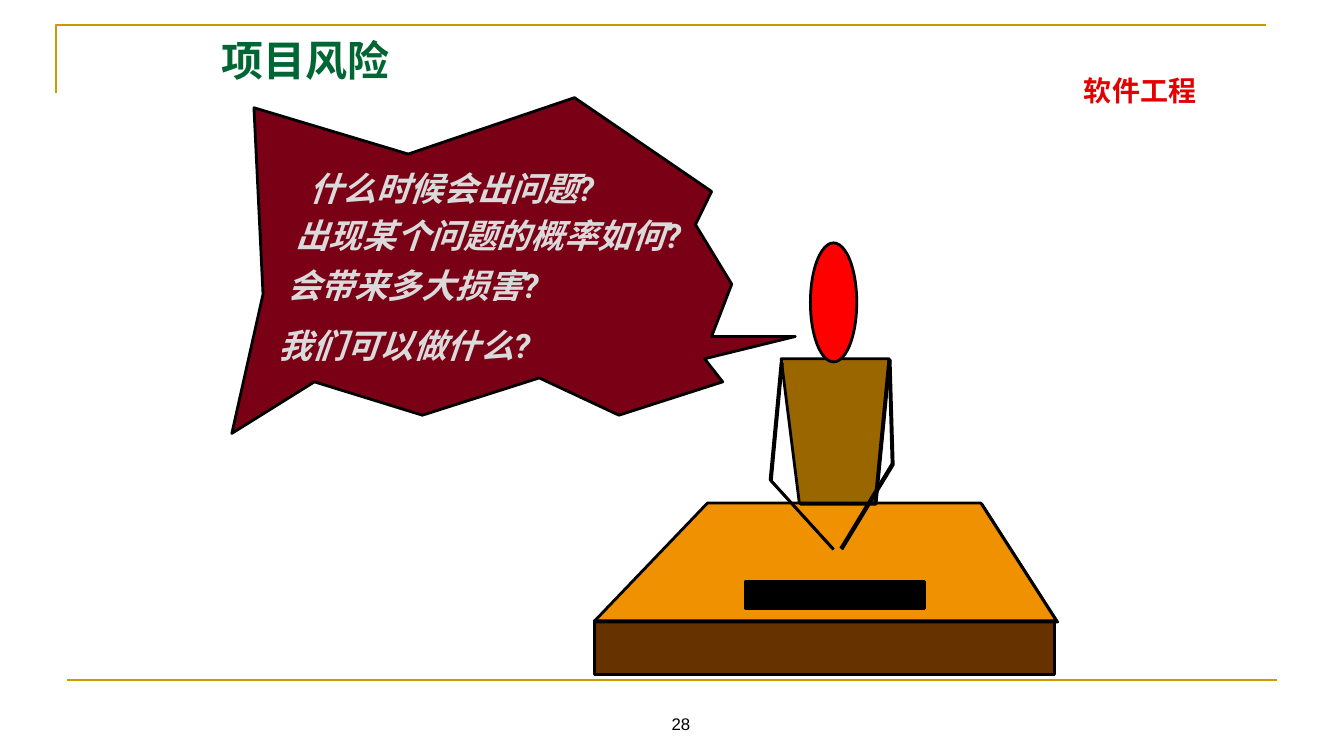
import pptx
import pptx.util
import pptx.oxml
import pptx.oxml.ns
import pptx.dml.color
import pptx.enum.shapes
import pptx.enum.text
from lxml import etree

Pt = pptx.util.Pt
RGBColor = pptx.dml.color.RGBColor
SHAPE = pptx.enum.shapes.MSO_SHAPE
ALIGN = pptx.enum.text.PP_ALIGN
ANCHOR = pptx.enum.text.MSO_ANCHOR

BLACK = RGBColor(0x00, 0x00, 0x00)
GOLD = RGBColor(0xCC, 0x99, 0x00)
GREEN = RGBColor(0x00, 0x66, 0x33)
LABEL_RED = RGBColor(0xE2, 0x00, 0x00)
HEAD_RED = RGBColor(0xFF, 0x00, 0x00)
MAROON = RGBColor(0x79, 0x00, 0x15)
ORANGE = RGBColor(0xEF, 0x91, 0x00)
OLIVE = RGBColor(0x99, 0x66, 0x00)
BROWN = RGBColor(0x66, 0x33, 0x00)
LIGHT_GREY = RGBColor(0xDA, 0xDA, 0xDA)

CHINESE_FONT = "Noto Sans CJK JP"
ECHO = 0.8  # shift of the second outline behind the figure's parts

BUBBLE_OUTLINE = [
    (402.5, 170.6), (337.7, 186.5), (350.6, 203), (276.5, 226.8),
    (219.6, 200.2), (136.1, 226.8), (59, 203), (0, 239.8),
    (22.3, 140.4), (15.8, 7.2), (126, 40.3), (244.8, 0),
    (342.7, 67), (331.2, 90.7), (357.1, 133.2), (342.7, 170.6),
]
QUESTIONS = [  # text, left, top, width, wraps
    ("什么时候会出问题?", 48.2, 46.8, 277.9, True),
    ("出现某个问题的概率如何?", 38.2, 79.9, 336.2, True),
    ("会带来多大损害?", 32.4, 115.9, 240.5, True),
    ("我们可以做什么?", 26.6, 158.4, 199.4, False),
]
DESK_TOP = [(0, 270), (80.6, 185.8), (275.8, 185.8), (329.8, 270)]
TORSO = [(146.2, 185.8), (133.2, 82.8), (210.2, 82.8), (200.2, 185.8)]
ARMS = [
    [(133.2, 85), (125.3, 169.2), (169.9, 218.2)],
    [(210.2, 82.8), (212.4, 157.7), (175.7, 218.2)],
]


def paint(shape, fill, line, weight):
    shape.shadow.inherit = False
    if fill is None:
        shape.fill.background()
    else:
        shape.fill.solid()
        shape.fill.fore_color.rgb = fill
    shape.line.color.rgb = line
    shape.line.width = Pt(weight)


def add_outline(page, origin, points, fill=None, line=BLACK, weight=2, close=True):
    """Draw a polygon or open line whose points are relative to origin."""
    left, top = origin
    places = [(Pt(left + x), Pt(top + y)) for x, y in points]
    builder = page.shapes.build_freeform(*places[0], scale=1.0)
    builder.add_line_segments(places[1:], close=close)
    paint(builder.convert_to_shape(), fill, line, weight)


def add_echoed_outline(page, origin, points, fill=None, close=True):
    """Draw an outline with a second, slightly shifted line behind it."""
    left, top = origin
    add_outline(page, (left + ECHO, top + ECHO), points, close=close)
    add_outline(page, origin, points, fill, close=close)


def add_preset(page, preset, box, fill):
    shape = page.shapes.add_shape(preset, *map(Pt, box))
    paint(shape, fill, BLACK, 2)


def style_text(frame, font_name, size, color, bold=False, italic=False,
               align=ALIGN.LEFT, anchor=ANCHOR.MIDDLE):
    frame.vertical_anchor = anchor
    para = frame.paragraphs[0]
    para.alignment = align
    span = para.runs[0]
    span.font.size = Pt(size)
    span.font.bold = bold
    span.font.italic = italic
    span.font.color.rgb = color
    span.font.name = font_name
    east_asian = etree.SubElement(span.font._element, pptx.oxml.ns.qn("a:ea"))
    east_asian.set("typeface", CHINESE_FONT)


def add_text(page, box, text, *style, wrap=True, **options):
    frame = page.shapes.add_textbox(*map(Pt, box)).text_frame
    frame.word_wrap = wrap
    frame.text = text
    style_text(frame, *style, **options)


def add_frame(page, box):
    """Draw the corner line at the top and the rule at the bottom."""
    left, top, width, height = box
    add_outline(page, (left, top), [(0, 48.2), (0, 0), (864, 0)],
                line=GOLD, weight=1.5, close=False)
    bottom = Pt(top + height)
    rule = page.shapes.add_connector(
        pptx.enum.shapes.MSO_CONNECTOR.STRAIGHT,
        Pt(left + width - 864), bottom, Pt(left + width), bottom)
    rule.line.color.rgb = GOLD
    rule.line.width = Pt(1.5)
    etree.SubElement(rule._element.spPr, pptx.oxml.ns.qn("a:effectLst"))


def set_title(page, box, text):
    title = page.shapes.title
    title.left, title.top, title.width, title.height = map(Pt, box)
    title.text_frame.text = text
    style_text(title.text_frame, "Times New Roman", 30, GREEN, bold=True)


def add_speech_bubble(page, box):
    left, top = box[:2]
    add_outline(page, (left, top), BUBBLE_OUTLINE, MAROON)
    for text, x, y, width, wrap in QUESTIONS:
        add_text(page, (left + x, top + y, width, 36), text, "Roboto", 24,
                 LIGHT_GREY, bold=True, italic=True, wrap=wrap)


def add_speaker(page, box):
    """Draw the person behind the desk."""
    left, top, width, height = box
    origin = (left, top)
    add_preset(page, SHAPE.RECTANGLE, (left, top + 270, width, height - 270), BROWN)
    add_echoed_outline(page, origin, DESK_TOP, ORANGE)
    add_echoed_outline(page, origin, TORSO, OLIVE)
    for arm in ARMS:
        add_echoed_outline(page, origin, arm, close=False)
    add_preset(page, SHAPE.OVAL, (left + 154.1, top, 33.1, 85), HEAD_RED)
    add_preset(page, SHAPE.RECTANGLE, (left + 107.3, top + 241.9, 128.5, 19.4), BLACK)


def main():
    deck = pptx.Presentation()
    deck.slide_width, deck.slide_height = Pt(960), Pt(540)
    page = deck.slides.add_slide(deck.slide_layouts[5])
    add_frame(page, (40.3, 18, 871.9, 468))
    add_text(page, (668.9, 49, 291, 31), "软件工程", CHINESE_FONT, 20, LABEL_RED,
             bold=True, align=ALIGN.CENTER)
    add_text(page, (374.4, 491.8, 223.9, 36), "28", "Arial", 12, BLACK,
             align=ALIGN.CENTER, anchor=ANCHOR.BOTTOM)
    set_title(page, (151.2, 20.2, 488.2, 45.4), "项目风险")
    add_speech_bubble(page, (165.6, 69.8, 402.5, 239.8))
    add_speaker(page, (424.8, 173.5, 328.3, 308.2))
    deck.save("out.pptx")


if __name__ == "__main__":
    main()
